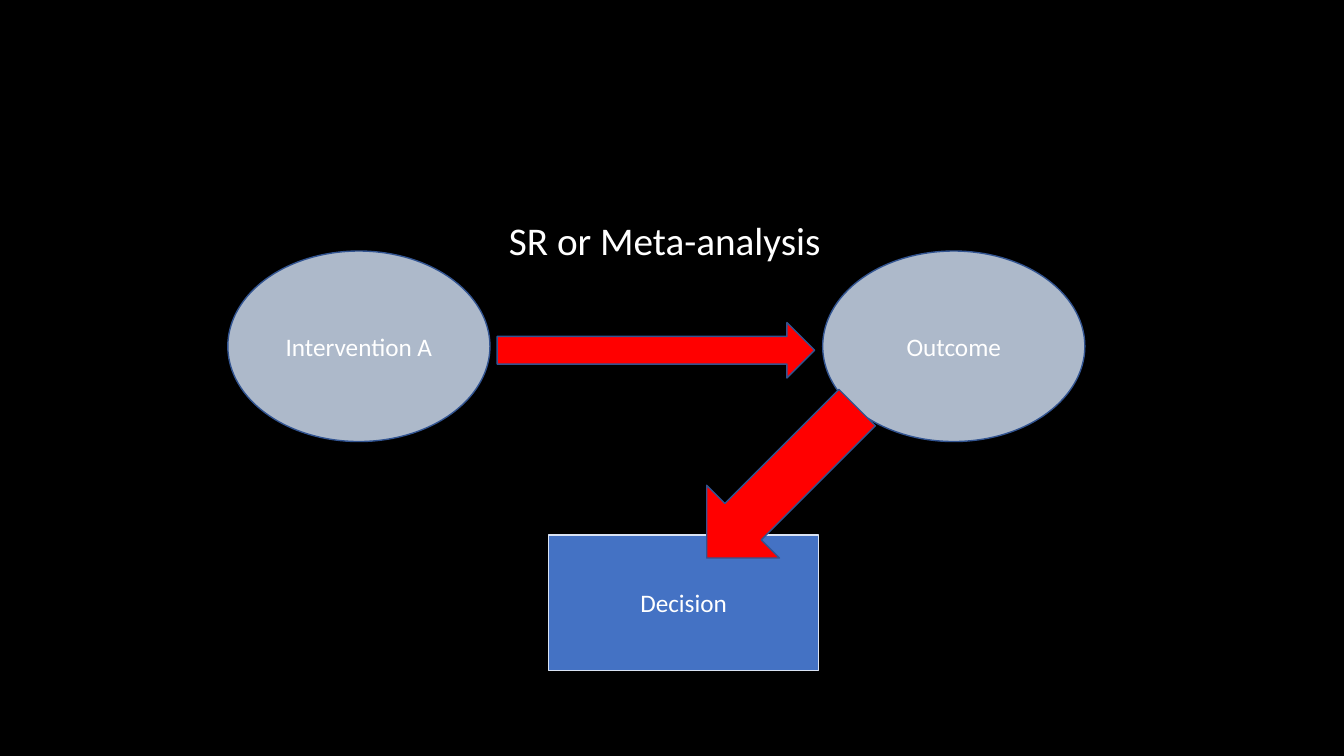
from pptx import Presentation
from pptx.dml.color import RGBColor
from pptx.enum.shapes import MSO_SHAPE
from pptx.enum.text import MSO_ANCHOR, MSO_AUTO_SIZE, PP_ALIGN
from pptx.util import Inches, Pt

BLACK = RGBColor(0x00, 0x00, 0x00)
WHITE = RGBColor(0xFF, 0xFF, 0xFF)
GREY_BLUE = RGBColor(0xAD, 0xB9, 0xCA)
BLUE = RGBColor(0x44, 0x72, 0xC4)
PALE_BLUE = RGBColor(0xDA, 0xE3, 0xF3)
DARK_BLUE = RGBColor(0x32, 0x54, 0x91)
RED = RGBColor(0xFF, 0x00, 0x00)
ELLIPSE = MSO_SHAPE.OVAL
RECTANGLE = MSO_SHAPE.RECTANGLE
ARROW = MSO_SHAPE.RIGHT_ARROW
MIDDLE = MSO_ANCHOR.MIDDLE
CENTER = PP_ALIGN.CENTER
GROW = MSO_AUTO_SIZE.SHAPE_TO_FIT_TEXT


def add_box(kind, left, top, width, height, fill, line):
    box = slide.shapes.add_shape(
        kind, Inches(left), Inches(top), Inches(width), Inches(height))
    box.shadow.inherit = False
    box.fill.solid()
    box.fill.fore_color.rgb = fill
    box.line.color.rgb = line
    box.line.width = Pt(1)
    return box


def add_label(box, text, size):
    para = box.text_frame.paragraphs[0]
    span = para.add_run()
    span.text = text
    span.font.name = "Calibri"
    span.font.size = Pt(size)
    span.font.color.rgb = WHITE
    return para


deck = Presentation()
deck.slide_width = Inches(13.33)
deck.slide_height = Inches(7.5)
slide = deck.slides.add_slide(deck.slide_layouts[6])
slide.background.fill.solid()
slide.background.fill.fore_color.rgb = BLACK

nodes = [
    ("Intervention A", ELLIPSE, 2.26, 2.49, 2.6, 1.89, GREY_BLUE, DARK_BLUE),
    ("Outcome", ELLIPSE, 8.16, 2.49, 2.6, 1.89, GREY_BLUE, DARK_BLUE),
    ("Decision", RECTANGLE, 5.44, 5.31, 2.68, 1.34, BLUE, PALE_BLUE),
]
for text, *geometry in nodes:
    node = add_box(*geometry)
    node.text_frame.vertical_anchor = MIDDLE
    add_label(node, text, 18).alignment = CENTER

add_box(ARROW, 4.93, 3.2, 3.15, 0.55, RED, DARK_BLUE)
decision_arrow = add_box(ARROW, 6.7, 4.28, 2.11, 1.02, RED, DARK_BLUE)
decision_arrow.rotation = 135

caption = slide.shapes.add_textbox(
    Inches(4.95), Inches(2.1), Inches(3.84), Inches(0.88))
caption.text_frame.word_wrap = True
caption.text_frame.auto_size = GROW
add_label(caption, "SR or Meta-analysis", 28)

deck.save("out.pptx")
